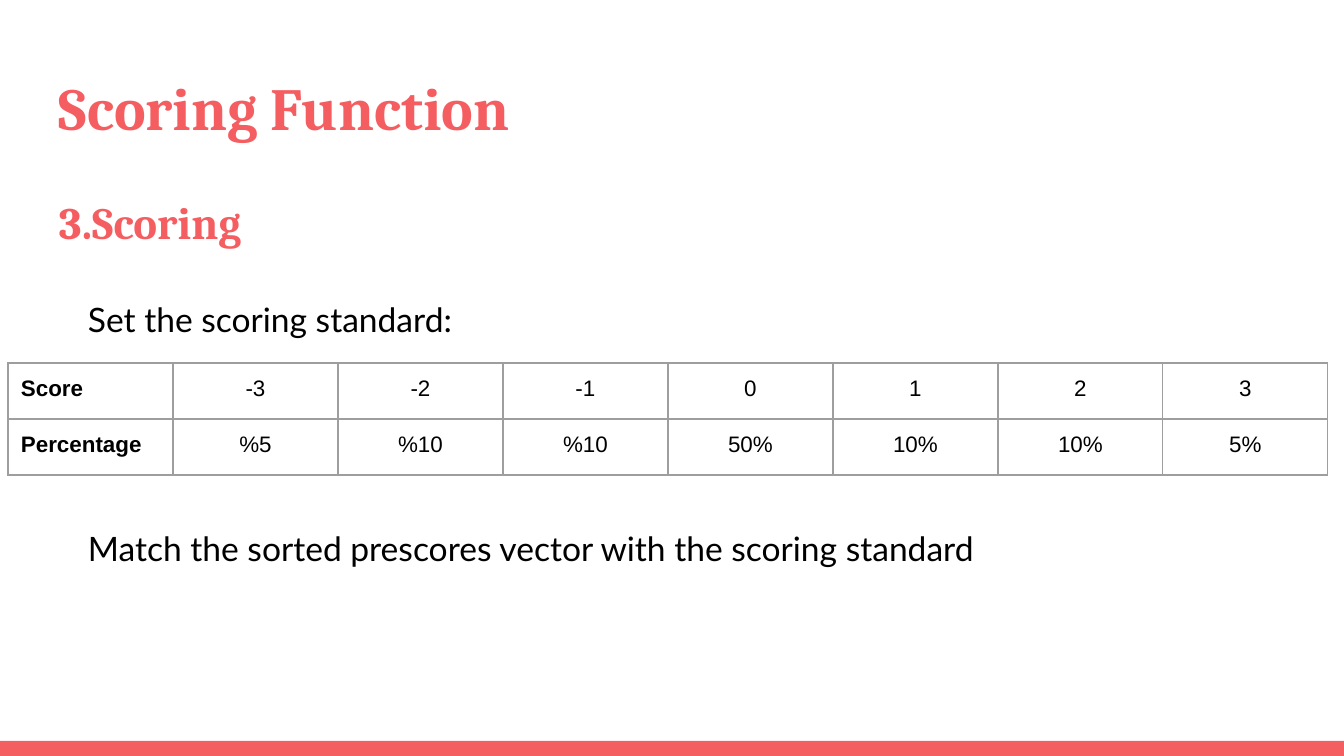
from lxml.etree import SubElement
from pptx import Presentation
from pptx.dml.color import RGBColor
from pptx.enum.shapes import MSO_SHAPE
from pptx.enum.text import MSO_ANCHOR, MSO_AUTO_SIZE, PP_ALIGN
from pptx.oxml.ns import qn
from pptx.util import Pt

# Content
HEADS = ["Scoring Function", "3.Scoring"]
STEPS = ["Set the scoring standard:",
         "Match the sorted prescores vector with the scoring standard"]
ROWS = [["Score", "-3", "-2", "-1", "0", "1", "2", "3"],
        ["Percentage", "%5", "%10", "%10", "50%", "10%", "10%", "5%"]]

# Look
HUES = {"coral": "F55E61", "ink": "000000", "rule": "9E9E9E"}
FONTS = {
    "title": {"name": "Cambria", "size": Pt(32), "bold": True},
    "sub": {"name": "Cambria", "size": Pt(24), "bold": True},
    "step": {"name": "Lato", "size": Pt(18), "bold": False},
    "label": {"name": "Arial", "size": Pt(12), "bold": True},
    "value": {"name": "Arial", "size": Pt(12), "bold": False},
}

# Places in px
SCALE = 914400 / 134.4
WIDE, HIGH = 1344, 756
PAD, BAR = 13, 15
COL, ROW = 165, 56


def px(*vals):
    return [round(v * SCALE) for v in vals]


def style(obj, opts):
    for key, val in opts.items():
        setattr(obj, key, val)


def write(para, text, font, hue, **opts):
    run = para.add_run()
    run.text = text
    style(run.font, FONTS[font])
    run.font.color.rgb = RGBColor.from_string(HUES[hue])
    style(para, opts)


def inset(obj):
    pad = px(PAD)[0]
    style(obj, {f"margin_{side}": pad for side in ("left", "top", "right", "bottom")})


def frame(shape, box):
    style(shape, dict(zip(("left", "top", "width", "height"), px(*box))))
    text = shape.text_frame
    inset(text)
    style(text, {"word_wrap": True, "auto_size": MSO_AUTO_SIZE.NONE,
                 "vertical_anchor": MSO_ANCHOR.TOP})
    return text


def border(cell):
    props = cell._tc.get_or_add_tcPr()
    for num, side in enumerate(("lnL", "lnR", "lnT", "lnB")):
        line = SubElement(props, qn(f"a:{side}"), w=str(Pt(0.75)))
        fill = SubElement(line, qn("a:solidFill"))
        SubElement(fill, qn("a:srgbClr"), val=HUES["rule"])
        props.insert(num, line)


deck = Presentation()
deck.slide_width, deck.slide_height = px(WIDE, HIGH)
slide = deck.slides.add_slide(deck.slide_layouts[5])

# Bottom bar
bar = slide.shapes.add_shape(MSO_SHAPE.RECTANGLE, *px(0, HIGH - BAR, WIDE, BAR))
bar.shadow.inherit = False
bar.fill.solid()
bar.fill.fore_color.rgb = RGBColor.from_string(HUES["coral"])
bar.line.fill.background()

# Title and subtitle
text = frame(slide.shapes.title, (46, 58, 1253, 91))
write(text.paragraphs[0], HEADS[0], "title", "coral", alignment=PP_ALIGN.LEFT)
write(text.add_paragraph(), HEADS[1], "sub", "coral",
      alignment=PP_ALIGN.LEFT, space_before=Pt(28))

# Steps, with room for the table between them
text = frame(slide.shapes.add_textbox(0, 0, 0, 0), (75, 280, 1253, 503))
for num, step in enumerate(STEPS):
    para = text.add_paragraph() if num else text.paragraphs[0]
    write(para, step, "step", "ink", line_spacing=1.15, space_after=Pt(98))
    left, hang = px(67, -34)
    style(para._p.get_or_add_pPr(), {"marL": left, "indent": hang})

# Score table
count = len(ROWS[0])
table = slide.shapes.add_table(
    len(ROWS), count, *px(8, 363, COL * count, ROW * len(ROWS))).table
style(table, {"first_row": False, "horz_banding": False})
for r, row in enumerate(ROWS):
    for c, word in enumerate(row):
        cell = table.cell(r, c)
        inset(cell)
        cell.fill.background()
        border(cell)
        write(cell.text_frame.paragraphs[0], word, "value" if c else "label", "ink",
              alignment=PP_ALIGN.CENTER if c else PP_ALIGN.LEFT)

deck.save("out.pptx")
